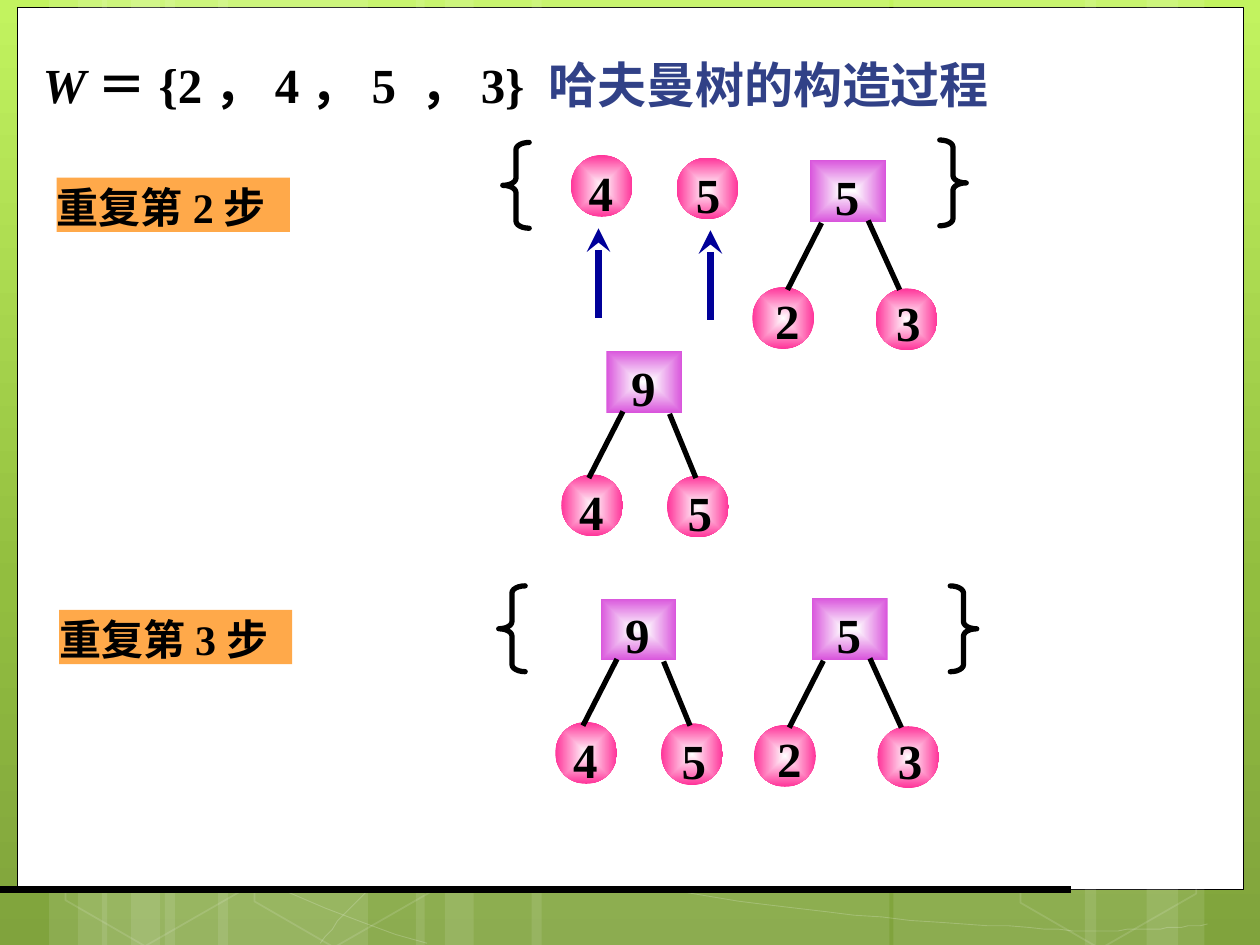
from dataclasses import dataclass
from typing import Any, NamedTuple

from lxml.etree import SubElement
from pptx import Presentation
from pptx.dml.color import RGBColor
from pptx.enum.shapes import MSO_CONNECTOR as Connector, MSO_SHAPE as Preset
from pptx.enum.text import MSO_ANCHOR as Anchor, PP_ALIGN as Align
from pptx.oxml.ns import qn
from pptx.util import Pt

COLORS = {
    "white": "FFFFFF", "black": "000000", "pink": "FF3399", "violet": "D955DC",
    "orange": "FFA94A", "navy": "000099", "title": "314187",
    "lime": "C2F35F", "leaf": "92BE3F", "moss": "80A33D",
}
LATIN, HAN = "Times New Roman", "Noto Sans CJK SC"
BALL, BOX_WIDTH = 35.3, 43.2


class Point(NamedTuple):
    x: float
    y: float


class Span(NamedTuple):
    text: str
    font: str = LATIN
    color: str = "black"
    italic: bool = False


@dataclass(frozen=True)
class Ball:
    value: str
    at: Point
    label: Point


@dataclass(frozen=True)
class Tree:
    root: str
    balls: tuple[Ball, Ball]
    edges: tuple[tuple[Point, Point], tuple[Point, Point]]


NINE = Tree(
    "9",
    (Ball("4", Point(-25.9, 70.6), Point(2.1, 1.4)), Ball("5", Point(34.6, 71.3), Point(3.6, 1.4))),
    ((Point(9.4, 34.6), Point(-10.1, 72.7)), (Point(36, 36), Point(51.1, 72.7))),
)
FIVE = Tree(
    "5",
    (Ball("2", Point(-33.1, 72.7), Point(5, -0.7)), Ball("3", Point(37.4, 73.4), Point(3.6, 0))),
    ((Point(6.5, 36), Point(-13, 74.2)), (Point(33.1, 34.6), Point(51.1, 74.2))),
)
LOOSE_BALLS = (
    Ball("4", Point(326.2, 88.6), Point(2.1, 1.8)),
    Ball("5", Point(386.6, 90), Point(2.9, 1.4)),
)
TREES = ((NINE, Point(346.6, 200.5)), (FIVE, Point(463, 91.4)),
         (NINE, Point(343.2, 342)), (FIVE, Point(464, 341.6)))
BARS = ((94.3, 116), (28.1, 33.1), (44.6, 55.4), (124.6, 118), (58.3, 33.1), (74.9, 55.4),
        (510.5, 116), (655.2, 33.1), (620, 53.3), (303.8, 204.5), (237.6, 33.1), (254.2, 55.4))
HEXAGONS = (Point(29.5, 425.5), Point(137.5, 426.2), Point(575.3, 427))
CURVES = (
    ((25.9, 444.2), (105.8, 483.8), (185.8, 523.4), (244, 539.3)),
    ((26.6, 416.2), (47.5, 424), (68.4, 432), (107.3, 443.5),
     (145.4, 454.3), (203, 472.3), (258.5, 484.6), (313.9, 496.8), (383.8, 509.8), (438.5, 517),
     (493.2, 524.9), (552.2, 527.8), (587.5, 529.9), (622, 532.8), (631.4, 531.4), (648.7, 531.4),
     (665.3, 530.6), (677.5, 529.2), (689.8, 528.5)),
    ((182.9, 539.3), (194.4, 524.9), (205.9, 510.5), (222.5, 497.5),
     (238.3, 483.8), (260.6, 470.2), (279.4, 460.1), (297.4, 450), (308.9, 445.7), (333.4, 438.5),
     (357.8, 431.3), (402.5, 421.2), (425.5, 416.2), (448.6, 411.1), (452.2, 411.1), (473, 409.7),
     (493.2, 407.5), (525.6, 405.4), (548.6, 404.6), (571.7, 404), (609.8, 404.6), (609.8, 404.6)),
)


def rgb(name: str) -> RGBColor:
    return RGBColor.from_string(COLORS[name])


def fade(part: Any, percent: int) -> None:
    color = next(part.iter(qn("a:srgbClr")))
    SubElement(color, qn("a:alpha"), val=str(percent * 1000))


def set_gradient(owner: Any, stops: tuple[tuple[int, str], ...], radial: bool) -> None:
    gradient = next(owner.iter(qn("a:gradFill")))
    for child in list(gradient):
        gradient.remove(child)
    stop_list = SubElement(gradient, qn("a:gsLst"))
    for position, name in stops:
        stop = SubElement(stop_list, qn("a:gs"), pos=str(position * 1000))
        SubElement(stop, qn("a:srgbClr"), val=COLORS[name])
    if radial:
        shading = SubElement(gradient, qn("a:path"), path="shape")
        SubElement(shading, qn("a:fillToRect"), l="50000", t="50000", r="50000", b="50000")
    else:
        SubElement(gradient, qn("a:lin"), ang="5400000", scaled="0")


def style(shape: Any, fill: str = "", glow: str = "", line: str = "", line_width: float = 1,
          fill_alpha: int = 100, line_alpha: int = 100) -> None:
    shape.shadow.inherit = False
    if glow:
        shape.fill.gradient()
        set_gradient(shape._element, ((0, "white"), (100, glow)), True)
    elif fill:
        shape.fill.solid()
        shape.fill.fore_color.rgb = rgb(fill)
        if fill_alpha < 100:
            fade(shape._element.spPr, fill_alpha)
    else:
        shape.fill.background()
    if line:
        shape.line.color.rgb = rgb(line)
        shape.line.width = Pt(line_width)
        if line_alpha < 100:
            fade(shape.line._get_or_add_ln(), line_alpha)
    else:
        shape.line.fill.background()


def add_shape(page: Any, preset: Any, at: Point, width: float, height: float, **look: Any) -> Any:
    shape = page.shapes.add_shape(preset, Pt(at.x), Pt(at.y), Pt(width), Pt(height))
    style(shape, **look)
    return shape


def write(shape: Any, spans: tuple[Span, ...], size: float = 28, align: Any = Align.LEFT,
          anchor: Any = Anchor.TOP, left: float = 0, top: float = 0) -> None:
    frame = shape.text_frame
    frame.word_wrap = True
    frame.vertical_anchor = anchor
    frame.margin_left, frame.margin_top = Pt(left), Pt(top)
    frame.margin_right = frame.margin_bottom = 0
    para = frame.paragraphs[0]
    para.alignment = align
    for span in spans:
        run = para.add_run()
        run.text = span.text
        run.font.name, run.font.size = span.font, Pt(size)
        run.font.bold, run.font.italic = True, span.italic
        run.font.color.rgb = rgb(span.color)
        SubElement(run.font._element, qn("a:ea"), typeface=HAN)


def add_line(page: Any, start: Point, end: Point, width: float = 3, color: str = "black",
             arrow: bool = False) -> None:
    line = page.shapes.add_connector(Connector.STRAIGHT, Pt(start.x), Pt(start.y), Pt(end.x), Pt(end.y))
    line.line.color.rgb = rgb(color)
    line.line.width = Pt(width)
    if arrow:
        SubElement(line.line._get_or_add_ln(), qn("a:tailEnd"), type="stealth")
    SubElement(line._element.spPr, qn("a:effectLst"))


def add_curve(page: Any, knots: tuple[tuple[float, float], ...], steps: int = 10) -> None:
    points = []
    for first in range(0, len(knots) - 3, 3):
        for step in range(1, steps + 1):
            t = step / steps
            weights = ((1 - t) ** 3, 3 * t * (1 - t) ** 2, 3 * t * t * (1 - t), t ** 3)
            points.append(tuple(sum(w * knot[axis] for w, knot in zip(weights, knots[first:first + 4]))
                                for axis in (0, 1)))
    builder = page.shapes.build_freeform(*knots[0], scale=Pt(1))
    builder.add_line_segments(points, close=False)
    style(builder.convert_to_shape(), line="white", line_width=0.5, line_alpha=20)


def add_ball(page: Any, ball: Ball, origin: Point = Point(0, 0)) -> None:
    at = Point(origin.x + ball.at.x, origin.y + ball.at.y)
    add_shape(page, Preset.OVAL, at, BALL, BALL, glow="pink")
    label = page.shapes.add_textbox(Pt(at.x + ball.label.x), Pt(at.y + ball.label.y), Pt(30.2), Pt(41))
    write(label, (Span(ball.value),), align=Align.CENTER, top=2.6)


def add_tree(page: Any, tree: Tree, origin: Point) -> None:
    for ball in tree.balls:
        add_ball(page, ball, origin)
    box = add_shape(page, Preset.RECTANGLE, origin, BOX_WIDTH, BALL, glow="violet")
    write(box, (Span(" " + tree.root),), left=7.2, top=3.6)
    for edge in tree.edges:
        add_line(page, *(Point(origin.x + end.x, origin.y + end.y) for end in edge))


def add_brace(page: Any, at: Point, rotation: float) -> None:
    brace = add_shape(page, Preset.LEFT_BRACE, at, 15.1, 49, line="black", line_width=3)
    brace.adjustments[0], brace.adjustments[1] = 0.27, 0.5
    brace.rotation = rotation
    brace.line._get_or_add_ln().set("cap", "rnd")


def add_backdrop(page: Any) -> None:
    page.background.fill.gradient()
    set_gradient(page._element, ((0, "lime"), (62, "leaf"), (100, "moss")), False)
    add_shape(page, Preset.RECTANGLE, Point(10.1, 4.3), 700.6, 504, fill="white", line="black", line_width=0.5)
    for left, width in BARS:
        add_shape(page, Preset.RECTANGLE, Point(left, 0), width, 540, fill="white", fill_alpha=10)
    for knots in CURVES:
        add_curve(page, knots)
    for at in HEXAGONS:
        hexagon = add_shape(page, Preset.HEXAGON, at, 116, 109.4, line="white", line_alpha=12)
        hexagon.adjustments[0] = 0.29
        hexagon.rotation = 30
    add_line(page, Point(0, 508.3), Point(612, 508.3), width=4.5)


def main() -> None:
    deck = Presentation()
    deck.slide_width, deck.slide_height = Pt(720), Pt(540)
    page = deck.slides.add_slide(deck.slide_layouts[6])
    add_backdrop(page)
    comma = Span("，", HAN)
    title = page.shapes.add_textbox(Pt(17.3), Pt(31), Pt(666), Pt(41))
    write(title, (Span("W", italic=True), Span("＝", HAN), Span("{2"), comma, Span("4"), comma,
                  Span("5 "), comma, Span("3} "), Span("哈夫曼树的构造过程", HAN, "title")), left=7.2)
    for text, at in (("重复第2步", Point(32.4, 101.5)), ("重复第3步", Point(33.8, 348.5))):
        step = add_shape(page, Preset.RECTANGLE, at, 133.2, 31, fill="orange")
        write(step, (Span(text),), size=24, anchor=Anchor.BOTTOM)
    for at, rotation in ((Point(287.3, 81.4), 0), (Point(537, 80), 180),
                         (Point(285, 334.8), 0), (Point(543, 334.8), 180)):
        add_brace(page, at, rotation)
    for ball in LOOSE_BALLS:
        add_ball(page, ball)
    for x, y in ((342, 130.5), (406, 131.6)):
        add_line(page, Point(x, y + 51), Point(x, y), width=4.5, color="navy", arrow=True)
    for tree, origin in TREES:
        add_tree(page, tree, origin)
    deck.save("out.pptx")


if __name__ == "__main__":
    main()
